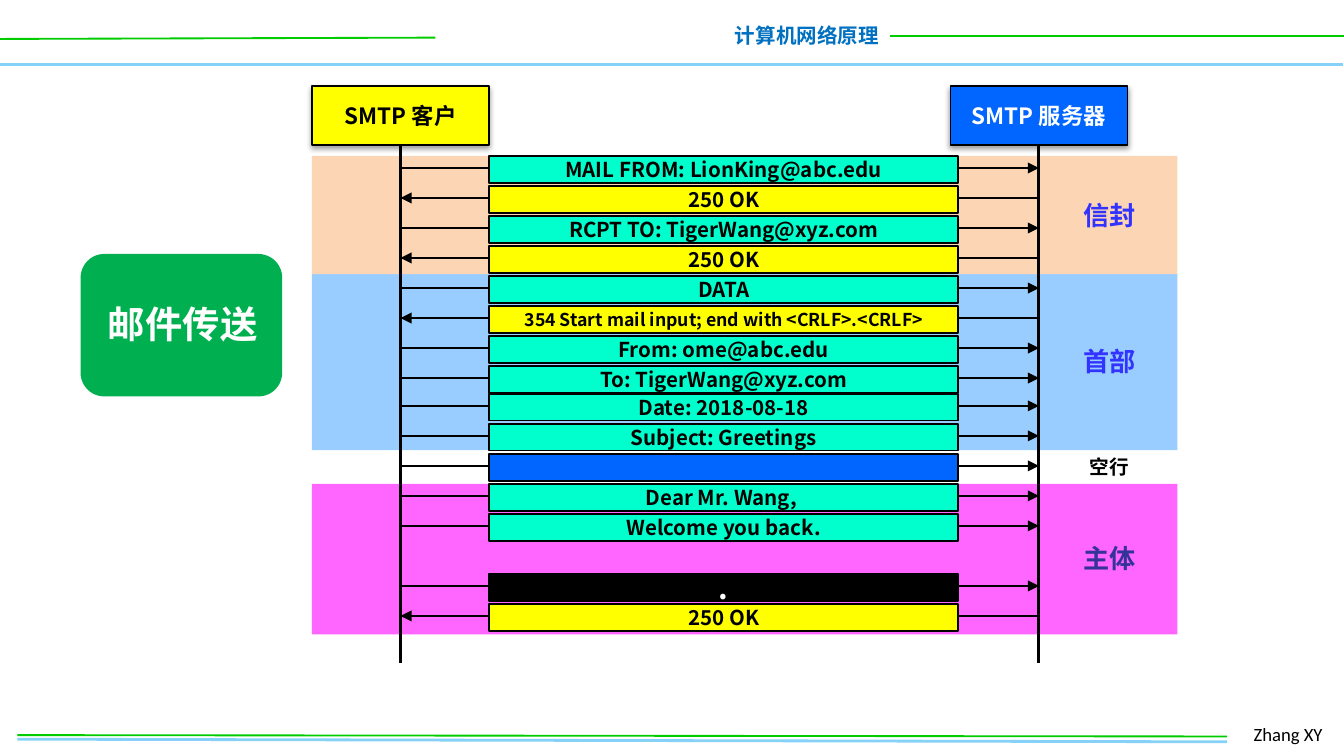
from lxml import etree
from pptx import Presentation
from pptx.dml.color import RGBColor
from pptx.enum.shapes import MSO_CONNECTOR, MSO_SHAPE
from pptx.enum.text import MSO_ANCHOR, PP_ALIGN
from pptx.oxml.ns import qn
from pptx.util import Inches, Pt

RECT, ROUNDED = MSO_SHAPE.RECTANGLE, MSO_SHAPE.ROUNDED_RECTANGLE
STRAIGHT = MSO_CONNECTOR.STRAIGHT
LEFT, CENTER, RIGHT = PP_ALIGN.LEFT, PP_ALIGN.CENTER, PP_ALIGN.RIGHT
MIDDLE = MSO_ANCHOR.MIDDLE
CJK, LATIN = "Noto Sans CJK SC", "Calibri"

COLORS = {
    "black": "000000", "white": "FFFFFF", "sky": "85D1F7", "rule": "00CC00",
    "title": "0070C0", "pink": "FF66FF", "pale_blue": "99CCFF",
    "peach": "FCD5B5", "green": "00B050", "blue": "0066FF",
    "yellow": "FFFF00", "mint": "00FFCC", "violet": "3333FF", "navy": "333399",
}

# Sequence diagram geometry, in inches
CLIENT_X, SERVER_X = 2.98, 7.73
HEAD_W, HEAD_H, HEAD_TOP = 1.32, 0.44, 0.64
LIFELINE_END = 4.93
MSG_X, MSG_W, MSG_H = 3.64, 3.49, 0.2
PITCH = 0.67 / 3
LABEL_X, LABEL_W = 7.75, 1.01

# Each block: top of its first row, then (text, fill, format); None skips a row
BLOCKS = [
    (1.16, [
        ("MAIL FROM: LionKing@abc.edu", "mint", {}),
        ("250 OK", "yellow", {}),
        ("RCPT TO: TigerWang@xyz.com", "mint", {}),
        ("250 OK", "yellow", {}),
        ("DATA", "mint", {}),
        ("354 Start mail input; end with <CRLF>.<CRLF>", "yellow", {"size": 9.5}),
        ("From: ome@abc.edu", "mint", {}),
        ("To: TigerWang@xyz.com", "mint", {}),
    ]),
    (2.93, [
        ("Date: 2018-08-18", "mint", {}),
        ("Subject: Greetings", "mint", {}),
        ("", "blue", {}),
        ("Dear Mr. Wang, ", "mint", {}),
        ("Welcome you back.", "mint", {}),
        None,
        (".", "black", {"size": 16, "color": "white"}),
        ("250 OK", "yellow", {}),
    ]),
]


def rgb(name):
    return RGBColor.from_string(COLORS[name])


def write(sp, text, size=11, color="black", font=CJK, bold=True,
          align=CENTER, wrap=True, inset_x=0.07, inset_y=0.04):
    tf = sp.text_frame
    tf.word_wrap = wrap
    tf.vertical_anchor = MIDDLE
    tf.margin_left = tf.margin_right = Inches(inset_x)
    tf.margin_top = tf.margin_bottom = Inches(inset_y)
    p = tf.paragraphs[0]
    p.alignment = align
    r = p.add_run()
    r.text = text
    r.font.size, r.font.bold, r.font.name = Pt(size), bold, font
    r.font.color.rgb = rgb(color)
    etree.SubElement(r.font._element, qn("a:ea"), typeface=font)


def add_text(slide, x, y, w, h, text, **fmt):
    box = slide.shapes.add_textbox(Inches(x), Inches(y), Inches(w), Inches(h))
    write(box, text, **fmt)


def add_box(slide, x, y, w, h, fill, border=None, shape=RECT):
    sp = slide.shapes.add_shape(shape, Inches(x), Inches(y), Inches(w), Inches(h))
    sp.shadow.inherit = False
    sp.fill.solid()
    sp.fill.fore_color.rgb = rgb(fill)
    if border:
        sp.line.color.rgb = rgb("black")
        sp.line.width = Pt(border)
    else:
        sp.line.fill.background()
    return sp


def add_line(slide, x1, y1, x2, y2, color="black", width=1, arrow=None):
    """arrow is None, "a:headEnd" (at the start) or "a:tailEnd" (at the end)."""
    line = slide.shapes.add_connector(
        STRAIGHT, Inches(x1), Inches(y1), Inches(x2), Inches(y2))
    line.line.color.rgb = rgb(color)
    line.line.width = Pt(width)
    sp_pr = line._element.spPr
    if arrow:
        etree.SubElement(sp_pr.find(qn("a:ln")), qn(arrow), type="triangle")
    etree.SubElement(sp_pr, qn("a:effectLst"))
    return line


def add_drop_shadow(sp):
    effects = sp._element.spPr.find(qn("a:effectLst"))
    shadow = etree.SubElement(effects, qn("a:outerShdw"), blurRad=str(Pt(3.1)),
                              dist=str(Pt(1.6)), dir="5400000", rotWithShape="0")
    color = etree.SubElement(shadow, qn("a:srgbClr"), val=COLORS["black"])
    etree.SubElement(color, qn("a:alpha"), val="38000")


def add_participant(slide, center, text, fill, color):
    """Header box with its lifeline."""
    head = add_box(slide, center - HEAD_W / 2, HEAD_TOP, HEAD_W, HEAD_H, fill, 0.75)
    add_drop_shadow(head)
    write(head, text, size=12, color=color)
    line = add_line(slide, center, HEAD_TOP + HEAD_H, center, LIFELINE_END, width=1.5)
    line.begin_connect(head, 2)


def add_message(slide, top, text, fill, fmt):
    """Arrow between the lifelines with its label; yellow rows are replies."""
    y = top + 0.09
    arrow = "a:headEnd" if fill == "yellow" else "a:tailEnd"
    add_line(slide, CLIENT_X, y, SERVER_X, y, arrow=arrow)
    box = add_box(slide, MSG_X, top, MSG_W, MSG_H, fill, 1)
    if text:
        write(box, text, inset_y=0, **fmt)


def add_frame(slide):
    """Header and footer rules with their captions."""
    add_line(slide, -0.01, 0.48, 9.99, 0.48, "sky", 2)
    add_line(slide, 0, 0.29, 3.24, 0.28, "rule")
    add_text(slide, 5.36, 0.12, 1.28, 0.29, "计算机网络原理",
             color="title", align=RIGHT, wrap=False, inset_x=0.1)
    add_line(slide, 6.62, 0.27, 10.01, 0.27, "rule")
    add_line(slide, 0.13, 5.5, 9.13, 5.52, "sky", 1.5)
    add_text(slide, 9.23, 5.33, 0.74, 0.27, "Zhang XY", size=10,
             font=LATIN, bold=False, align=LEFT, inset_x=0.1)
    add_line(slide, 0.13, 5.47, 9.13, 5.48, "rule")


def main():
    prs = Presentation()
    prs.slide_width = Inches(10)
    prs.slide_height = Inches(10 * 9 / 16)
    slide = prs.slides.add_slide(prs.slide_layouts[6])
    add_frame(slide)

    # Bands behind the message parts
    for top, height, fill in [(3.6, 1.12, "pink"), (2.04, 1.31, "pale_blue"),
                              (1.16, 0.88, "peach")]:
        add_box(slide, 2.32, top, 6.44, height, fill)

    # Topic badge
    add_box(slide, 0.6, 1.89, 1.5, 1.06, "green", shape=ROUNDED)
    add_text(slide, 0.7, 2.19, 1.32, 0.44, "邮件传送",
             size=20, color="white", wrap=False)

    # Participants and messages
    add_participant(slide, SERVER_X, "SMTP 服务器", "blue", "white")
    add_participant(slide, CLIENT_X, "SMTP 客户", "yellow", "black")
    for start, rows in BLOCKS:
        for i, row in enumerate(rows):
            if row:
                add_message(slide, start + i * PITCH, *row)

    # Names of the message parts
    for top, height, text, size, color in [
            (1.43, 0.34, "信封", 14, "violet"), (2.52, 0.34, "首部", 14, "violet"),
            (3.98, 0.34, "主体", 14, "navy"), (3.33, 0.29, "空行", 10.5, "black")]:
        add_text(slide, LABEL_X, top, LABEL_W, height, text, size=size, color=color)

    prs.save("out.pptx")


if __name__ == "__main__":
    main()
